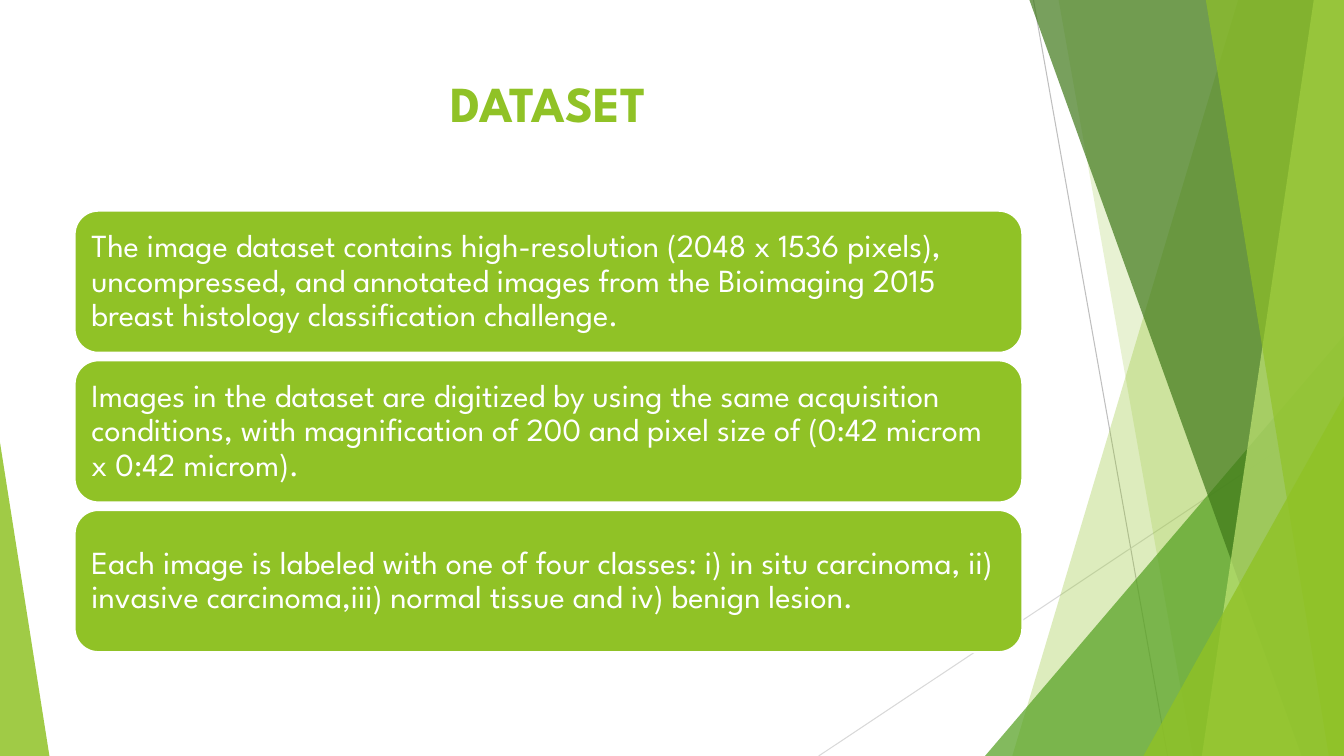
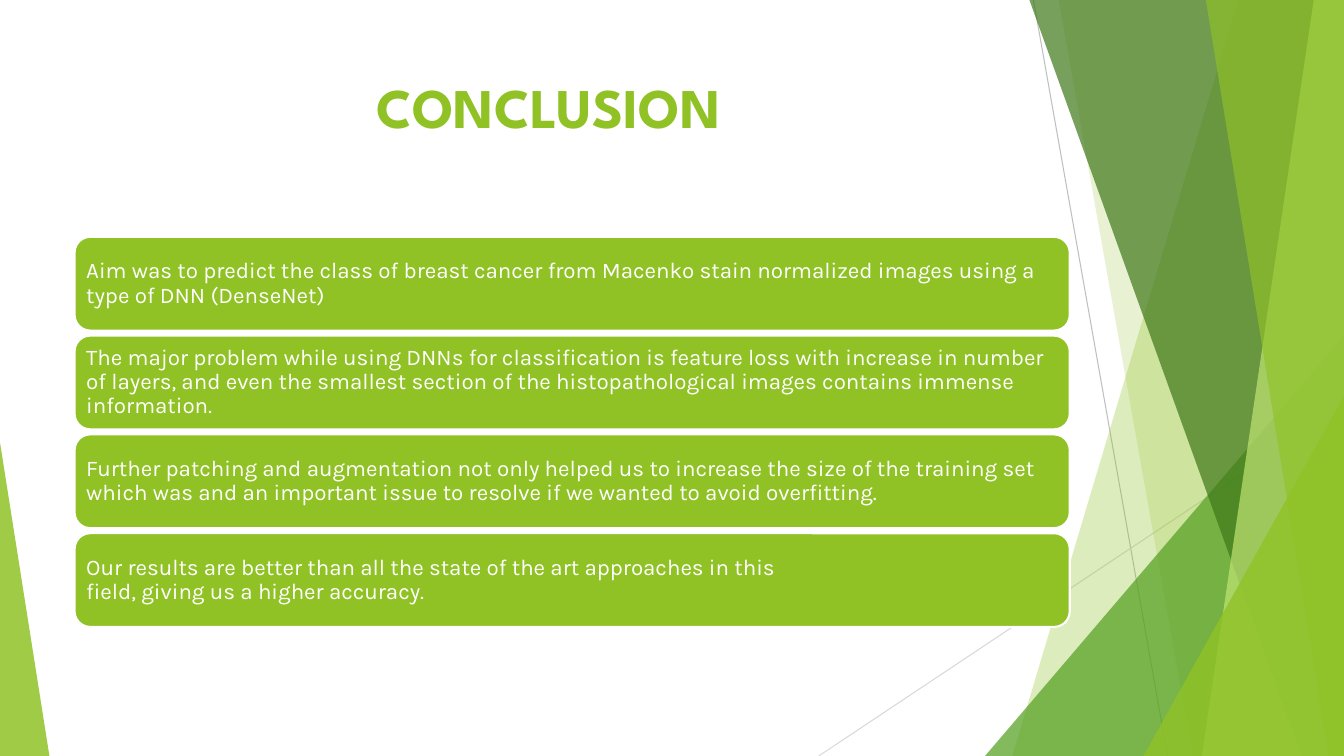
from lxml import etree
from pptx import Presentation
from pptx.dml.color import RGBColor
from pptx.enum.shapes import MSO_CONNECTOR, MSO_SHAPE
from pptx.enum.text import MSO_ANCHOR, PP_ALIGN
from pptx.oxml.ns import qn
from pptx.util import Inches, Pt

STRAIGHT = MSO_CONNECTOR.STRAIGHT
TRIANGLE = MSO_SHAPE.ISOSCELES_TRIANGLE
ROUNDED = MSO_SHAPE.ROUNDED_RECTANGLE
TOP, MIDDLE = MSO_ANCHOR.TOP, MSO_ANCHOR.MIDDLE
LEFT, CENTER = PP_ALIGN.LEFT, PP_ALIGN.CENTER

COLORS = {
    "lime": "90C226",
    "green": "54A021",
    "forest": "3F7819",
    "pale": "C0E474",
    "gray": "BFBFBF",
    "silver": "D9D9D9",
    "white": "FFFFFF",
}
TITLE_FONT = "League Spartan"
BODY_FONT = "Karla"
WIDTH, HEIGHT = 13.33, 7.5

RAYS = [
    ((10.25, 0), (11.58, HEIGHT), "gray"),
    ((WIDTH, 4.03), (8.12, HEIGHT), "silver"),
]
BACK_BANDS = [(12.28, 10.04, "lime", 30), (10.5, 11.83, "lime", 20)]
FRONT_BANDS = [
    (10.21, 12.91, "forest", 70),
    (13.03, 11.92, "pale", 70),
    (11.96, 13.18, "lime", 65),
]

SLIDES = [
    {
        "title": "DATASET",
        "title_size": 36,
        "box": (0.74, 2.09, 9.4, 4.38),
        "card_height": 1.41,
        "style": {"size": 23, "font": TITLE_FONT, "inset": 0.1},
        "cards": [
            "The image dataset contains high-resolution (2048 x 1536 pixels), "
            "uncompressed, and annotated images from the Bioimaging 2015 "
            "breast histology classification challenge.",
            "Images in the dataset are digitized by using the same acquisition "
            "conditions, with magnification of 200 and pixel size of "
            "(0:42 microm x 0:42 microm).",
            "Each image is labeled with one of four classes: i) in situ "
            "carcinoma, ii) invasive carcinoma,iii) normal tissue and "
            "iv) benign lesion.",
        ],
    },
    {
        "title": "CONCLUSION",
        "title_size": 40,
        "box": (0.74, 2.35, 9.87, 3.87),
        "card_height": 0.93,
        "style": {"size": 16, "font": BODY_FONT, "inset": 0.07},
        "cards": [
            "Aim was to predict the class of breast cancer from Macenko stain "
            "normalized images using a type of DNN (DenseNet)",
            "The major problem while using DNNs for classification is feature "
            "loss with increase in number of layers, and even the smallest "
            "section of the histopathological images contains immense "
            "information.",
            "Further patching and augmentation not only helped us to increase "
            "the size of the training set which was and an important issue to "
            "resolve if we wanted to avoid overfitting.",
            "Our results are better than all the state of the art approaches "
            "in this\nfield, giving us a higher accuracy.",
        ],
    },
]


def rgb(name):
    return RGBColor.from_string(COLORS[name])


def paint(shape, color, opacity=100):
    shape.shadow.inherit = False
    shape.fill.solid()
    shape.fill.fore_color.rgb = rgb(color)
    shape.line.fill.background()
    if opacity < 100:
        fill_color = shape.fill._xPr.find(qn("a:solidFill"))[0]
        alpha = etree.SubElement(fill_color, qn("a:alpha"))
        alpha.set("val", str(opacity * 1000))


def write(shape, text, *, size, font, color, bold=False, align=LEFT,
          anchor=TOP, inset=0.1, inset_y=None, line_spacing=1.0):
    frame = shape.text_frame
    frame.word_wrap = True
    frame.vertical_anchor = anchor
    frame.margin_left = frame.margin_right = Inches(inset)
    frame.margin_top = frame.margin_bottom = Inches(
        inset if inset_y is None else inset_y)
    paragraph = frame.paragraphs[0]
    paragraph.text = text
    paragraph.alignment = align
    paragraph.line_spacing = line_spacing
    for run in paragraph.runs:
        run.font.size = Pt(size)
        run.font.name = font
        run.font.bold = bold
        run.font.color.rgb = rgb(color)


def add_ray(slide, start, end, color):
    ray = slide.shapes.add_connector(
        STRAIGHT, *[Inches(value) for value in (*start, *end)])
    ray.line.color.rgb = rgb(color)
    ray.line.width = Pt(0.75)
    etree.SubElement(ray._element.spPr, qn("a:effectLst"))


def add_band(slide, top_x, bottom_x, color, opacity):
    builder = slide.shapes.build_freeform(Inches(top_x), 0)
    corners = [(WIDTH, 0), (WIDTH, HEIGHT), (bottom_x, HEIGHT)]
    builder.add_line_segments([(Inches(x), Inches(y)) for x, y in corners])
    paint(builder.convert_to_shape(), color, opacity)


def add_wedge(slide, left, top, width, apex, color, opacity):
    wedge = slide.shapes.add_shape(
        TRIANGLE, Inches(left), Inches(top), Inches(width), Inches(HEIGHT - top))
    wedge.adjustments[0] = apex
    paint(wedge, color, opacity)


def add_facets(slide):
    for ray in RAYS:
        add_ray(slide, *ray)
    for band in BACK_BANDS:
        add_band(slide, *band)
    add_wedge(slide, 9.77, 3.33, WIDTH - 9.77, 1, "green", 72)
    for band in FRONT_BANDS:
        add_band(slide, *band)
    add_wedge(slide, 11.34, 3.93, WIDTH - 11.34, 1, "lime", 80)
    add_wedge(slide, 0, 4.39, 0.49, 0, "lime", 85)


def add_title(slide, text, size):
    title = slide.shapes.add_textbox(
        Inches(0.74), Inches(0.67), Inches(9.4), Inches(0.86))
    write(title, text, size=size, font=TITLE_FONT, color="lime", bold=True,
          align=CENTER, inset_y=0.05)


def add_card_stack(slide, box, card_height, texts, style):
    left, top, width, height = box
    pitch = (height - card_height) / (len(texts) - 1)
    for index, text in enumerate(texts):
        card = slide.shapes.add_shape(
            ROUNDED, Inches(left), Inches(top + index * pitch),
            Inches(width), Inches(card_height))
        paint(card, "lime")
        card.line.color.rgb = rgb("white")
        card.line.width = Pt(1.5)
        write(card, text, color="white", anchor=MIDDLE, line_spacing=0.9, **style)


def add_card_slide(presentation, content):
    slide = presentation.slides.add_slide(presentation.slide_layouts[6])
    add_facets(slide)
    add_title(slide, content["title"], content["title_size"])
    add_card_stack(slide, content["box"], content["card_height"],
                   content["cards"], content["style"])


def main():
    presentation = Presentation()
    presentation.slide_width = Inches(WIDTH)
    presentation.slide_height = Inches(HEIGHT)
    for content in SLIDES:
        add_card_slide(presentation, content)
    presentation.save("out.pptx")


if __name__ == "__main__":
    main()
